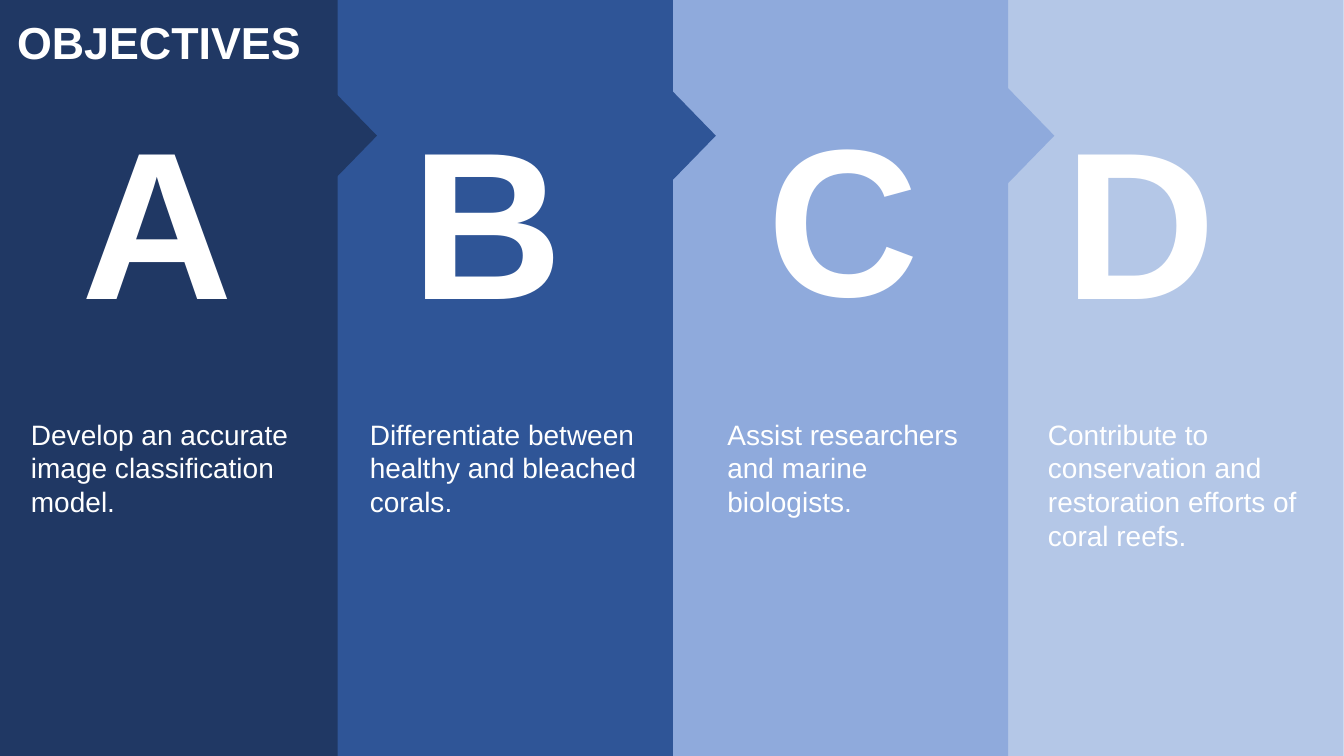
from pptx import Presentation
from pptx.dml.color import RGBColor
from pptx.enum.shapes import MSO_SHAPE
from pptx.enum.text import MSO_AUTO_SIZE
from pptx.util import Cm, Pt

RECTANGLE = MSO_SHAPE.RECTANGLE
TRIANGLE = MSO_SHAPE.ISOSCELES_TRIANGLE
FIT_SHAPE = MSO_AUTO_SIZE.SHAPE_TO_FIT_TEXT

COLORS = {"A": "203864", "B": "2F5597", "C": "8FAADC", "D": "B4C7E7", "text": "FFFFFF"}
FORMATS = {
    "title": {"size": Pt(32), "bold": True, "name": "Arial"},
    "letter": {"size": Pt(150), "bold": True, "name": "Arial"},
    "caption": {"size": Pt(20), "bold": False, "name": "Arial"},
}

# Boxes are (left, top, width, height) in cm; arrow is its centre from the left.
TITLE = ("OBJECTIVES", (0.18, 0.25, 8.08, 1.63))
OBJECTIVES = [
    {"letter": "A", "letter_box": (1.8, 2.13, 4.22, 6.68), "arrow": 8.85,
     "caption": ["Develop an accurate", "image classification", "model."],
     "caption_box": (0.53, 10.39, 7.04, 2.82)},
    {"letter": "B", "letter_box": (10.13, 2.13, 3.71, 6.68), "arrow": 17.39,
     "caption": ["Differentiate between", "healthy and bleached corals."],
     "caption_box": (9.07, 10.39, 7.32, 2.82)},
    {"letter": "C", "letter_box": (19.1, 2.06, 3.71, 6.68), "arrow": 25.92,
     "caption": ["Assist researchers", "and marine biologists."],
     "caption_box": (18.08, 10.39, 6.48, 2.82)},
    {"letter": "D", "letter_box": (26.57, 2.13, 3.71, 6.68), "arrow": None,
     "caption": ["Contribute to conservation and restoration efforts of coral reefs."],
     "caption_box": (26.16, 10.39, 7.16, 3.68)},
]

SLIDE_W, SLIDE_H = 33.87, 19.05
PANEL_STEP, PANEL_W = 8.45, 8.51
ARROW_BASE, ARROW_DEPTH, ARROW_Y = 2.67, 1.3, 3.42


def add_filled(slide, preset, box, color):
    shape = slide.shapes.add_shape(preset, *map(Cm, box))
    shape.shadow.inherit = False
    shape.fill.solid()
    shape.fill.fore_color.rgb = RGBColor.from_string(color)
    shape.line.fill.background()
    return shape


def add_text(slide, lines, box, style):
    frame = slide.shapes.add_textbox(*map(Cm, box)).text_frame
    frame.word_wrap = True
    frame.auto_size = FIT_SHAPE
    frame.text = "\n".join(lines)
    for paragraph in frame.paragraphs:
        for run in paragraph.runs:
            for attribute, value in FORMATS[style].items():
                setattr(run.font, attribute, value)
            run.font.color.rgb = RGBColor.from_string(COLORS["text"])


def add_objective(slide, index, objective):
    letter, arrow = objective["letter"], objective["arrow"]
    left = index * PANEL_STEP
    width = min(PANEL_W, SLIDE_W - left)
    add_filled(slide, RECTANGLE, (left, 0, width, SLIDE_H), COLORS[letter])
    if arrow is not None:
        arrow_box = (arrow - ARROW_BASE / 2, ARROW_Y - ARROW_DEPTH / 2,
                     ARROW_BASE, ARROW_DEPTH)
        add_filled(slide, TRIANGLE, arrow_box, COLORS[letter]).rotation = 90
    add_text(slide, [letter], objective["letter_box"], "letter")
    add_text(slide, objective["caption"], objective["caption_box"], "caption")


def main():
    deck = Presentation()
    deck.slide_width, deck.slide_height = Cm(SLIDE_W), Cm(SLIDE_H)
    slide = deck.slides.add_slide(deck.slide_layouts[6])
    # The last panel goes at the back, so each arrow overlaps the next panel.
    for index, objective in reversed(list(enumerate(OBJECTIVES))):
        add_objective(slide, index, objective)
    title, title_box = TITLE
    add_text(slide, [title], title_box, "title")
    deck.save("out.pptx")


if __name__ == "__main__":
    main()
